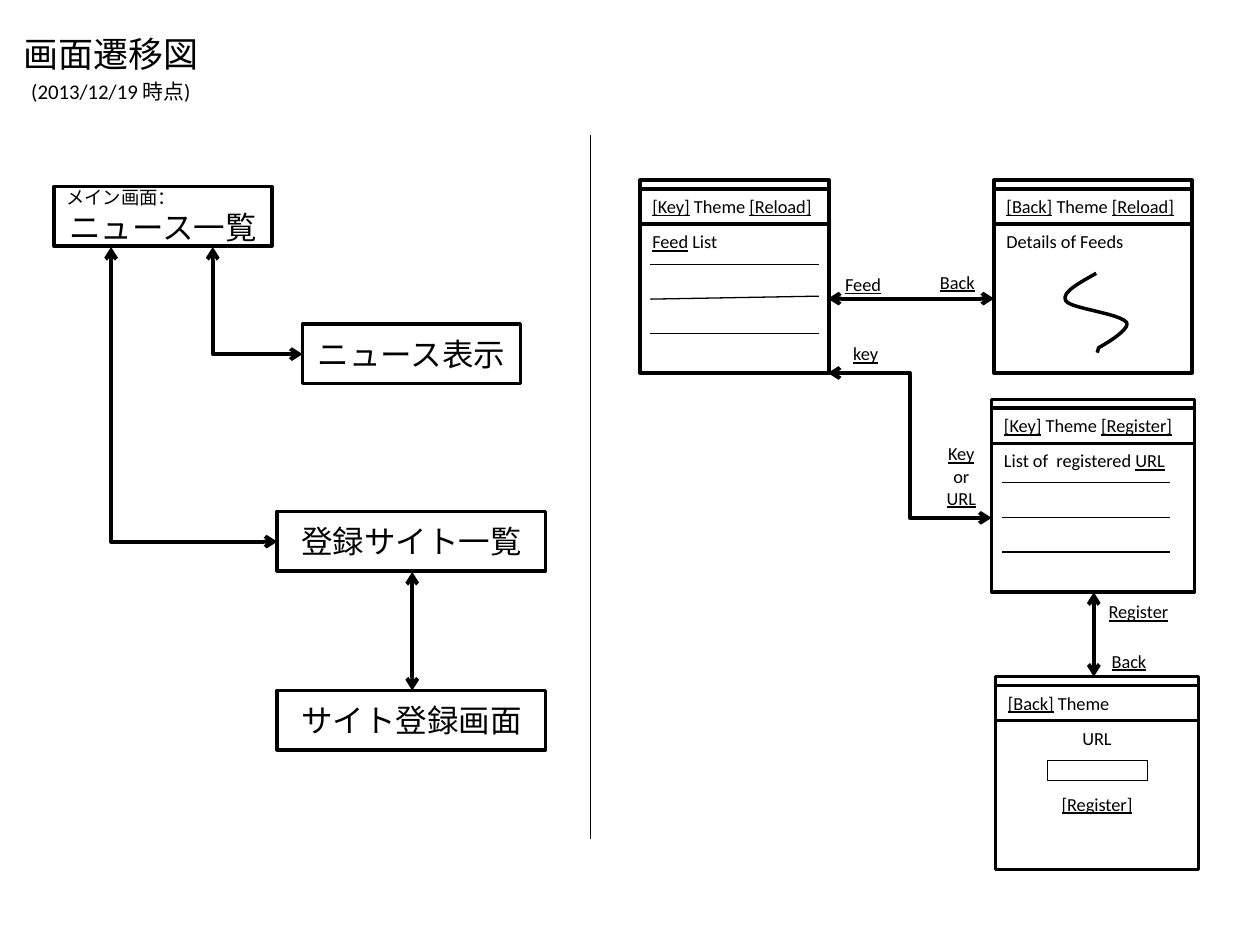
"""Build the screen transition diagram slide."""
import pptx
import pptx.dml.color
import pptx.enum.shapes
import pptx.enum.text
import pptx.oxml.ns
import pptx.oxml.xmlchemy
import pptx.util
from lxml import etree

Cm, Pt = pptx.util.Cm, pptx.util.Pt
rgb = pptx.dml.color.RGBColor.from_string
qn = pptx.oxml.ns.qn
LEFT, CENTER = pptx.enum.text.PP_ALIGN.LEFT, pptx.enum.text.PP_ALIGN.CENTER
TOP, MIDDLE = pptx.enum.text.MSO_ANCHOR.TOP, pptx.enum.text.MSO_ANCHOR.MIDDLE
RECT = pptx.enum.shapes.MSO_SHAPE.RECTANGLE
STRAIGHT = pptx.enum.shapes.MSO_CONNECTOR.STRAIGHT
ELBOW = pptx.enum.shapes.MSO_CONNECTOR.ELBOW
INK, PAPER = "000000", "FFFFFF"

prs = pptx.Presentation()
prs.slide_width, prs.slide_height = Cm(25.4), Cm(19.05)
s = prs.slides.add_slide(prs.slide_layouts[6])


def box(x, y, w, h, texts=(), size=10.5, align=CENTER, anchor=MIDDLE, border=2):
    """Add a box; underscores enclose underlined words, border 0 gives a text box."""
    frame = Cm(x), Cm(y), Cm(w), Cm(h)
    if border:
        sp = s.shapes.add_shape(RECT, *frame)
        sp.shadow.inherit = False
        sp.fill.solid()
        sp.fill.fore_color.rgb = rgb(PAPER)
        sp.line.color.rgb = rgb(INK)
        sp.line.width = Pt(border)
    else:
        sp = s.shapes.add_textbox(*frame)
    tf = sp.text_frame
    tf.word_wrap = True
    tf.vertical_anchor = anchor
    for i, text in enumerate(texts):
        p = tf.add_paragraph() if i else tf.paragraphs[0]
        p.alignment = align
        for j, part in enumerate(text.split("_")):
            if part:
                r = p.add_run()
                r.text = part
                r.font.name = "Calibri"
                r.font.size = Pt(size)
                r.font.color.rgb = rgb(INK)
                r.font.underline = j % 2 == 1
    return sp


def line(x1, y1, x2, y2, width=0.75, kind=STRAIGHT):
    """Add a connector; the thick ones have an arrowhead at both ends."""
    c = s.shapes.add_connector(kind, Cm(x1), Cm(y1), Cm(x2), Cm(y2))
    c.line.color.rgb = rgb(INK)
    c.line.width = Pt(width)
    spPr = c._element.spPr
    if width > 2:
        for end in ("a:headEnd", "a:tailEnd"):
            etree.SubElement(spPr.find(qn("a:ln")), qn(end), type="arrow")
    etree.SubElement(spPr, qn("a:effectLst"))
    return c


title = box(-1.27, 0.53, 7.01, 1.52, ["画面遷移図", "(2013/12/19 時点)"], anchor=TOP, border=0)
for p, size in zip(title.text_frame.paragraphs, (20, 11.9)):
    p.runs[0].font.size = Pt(size)
    p.space_before = Pt(size * 0.2)

news = box(1.09, 3.76, 4.39, 1.2, ["メイン画面：", "ニュース一覧"], size=18)
main = news.text_frame.paragraphs[0]
main.alignment = LEFT
main.runs[0].font.size = Pt(10.5)
for x, y, w, name in [
    (6.1, 6.53, 4.39, "ニュース表示"),
    (5.59, 10.31, 5.41, "登録サイト一覧"),
    (5.59, 13.92, 5.41, "サイト登録画面"),
]:
    box(x, y, w, 1.2, [name], size=18)

line(11.91, 2.72, 11.91, 16.92)
line(8.31, 11.53, 8.31, 13.92, 2.25)

for x1, y1, x2, y2 in [(4.29, 4.98, 6.1, 7.14), (2.24, 4.98, 5.59, 10.92)]:
    cx, cy = (x1 + x2) / 2, (y1 + y2) / 2
    rx, ry = (y2 - y1) / 2, (x2 - x1) / 2
    c = line(cx + rx, cy - ry, cx - rx, cy + ry, 2.25, ELBOW)
    spPr = c._element.spPr
    spPr.find(qn("a:xfrm")).set("rot", "16200000")
    spPr.find(qn("a:prstGeom")).set("prst", "bentConnector2")

screens = [
    (12.9, 3.63, 3.81, "_[Key]_ Theme _[Reload]_", ["_Feed_ List"], LEFT),
    (20.04, 3.63, 3.99, "_[Back]_ Theme _[Reload]_", ["Details of Feeds"], LEFT),
    (19.99, 8.05, 4.09, "_[Key]_ Theme _[Register]_", ["List of  registered _URL_"], LEFT),
    (20.07, 13.64, 4.09, "_[Back]_ Theme", ["URL", "_[Register]_"], CENTER),
]
for x, y, w, header, body, align in screens:
    box(x, y, w, 0.25)
    box(x, y + 0.18, w, 0.71, [header], align=LEFT, anchor=TOP)
    content = box(x, y + 0.89, w, 3, body, align=align, anchor=TOP)
    for p in content.text_frame.paragraphs[1:]:
        p.space_before = Pt(25)
box(21.11, 15.32, 2.01, 0.41, border=0.25)

for x, y, rise in [(13.11, 5.33, 0.06), (20.19, 9.73, 0)]:
    for i in range(3):
        tilt = rise if i == 1 else 0
        line(x, y + 0.7 * i, x + 3.4, y + 0.7 * i - tilt)

curves = [
    [(22.1, 5.51), (21.74, 5.72), (21.39, 5.89), (21.49, 6.07)],
    [(21.49, 6.07), (21.59, 6.22), (22.58, 6.32), (22.71, 6.5)],
    [(22.71, 6.5), (22.81, 6.65), (22.15, 7.01), (22.15, 7.01)],
]
points = []
for curve in curves:
    for step in range(1, 13):
        t = step / 12
        weights = (1 - t) ** 3, 3 * t * (1 - t) ** 2, 3 * t * t * (1 - t), t ** 3
        points.append([Cm(sum(k * pt[a] for k, pt in zip(weights, curve))) for a in (0, 1)])
points.append((Cm(22.12), Cm(7.11)))
builder = s.shapes.build_freeform(Cm(22.1), Cm(5.51))
builder.add_line_segments(points, close=False)
squiggle = builder.convert_to_shape()
squiggle.shadow.inherit = False
squiggle.fill.background()
squiggle.line.color.rgb = rgb(INK)
squiggle.line.width = Pt(2)

line(16.69, 6.02, 20.04, 6.02, 2.25)
line(16.69, 7.52, 19.99, 10.44, 2.25, ELBOW)
line(22.05, 11.94, 22.05, 13.64, 2.25)

for x, y, w, texts in [
    (16.69, 5.41, 1.42, ["_Feed_"]),
    (18.54, 5.36, 1.52, ["_Back_"]),
    (16.74, 6.81, 1.42, ["_key_"]),
    (18.67, 9.27, 1.42, ["_Key_", "or", "_URL_"]),
    (22.05, 12.01, 1.8, ["_Register_"]),
    (22.05, 13, 1.42, ["_Back_"]),
]:
    box(x, y, w, 0.64, texts, border=0)

prs.save("out.pptx")
